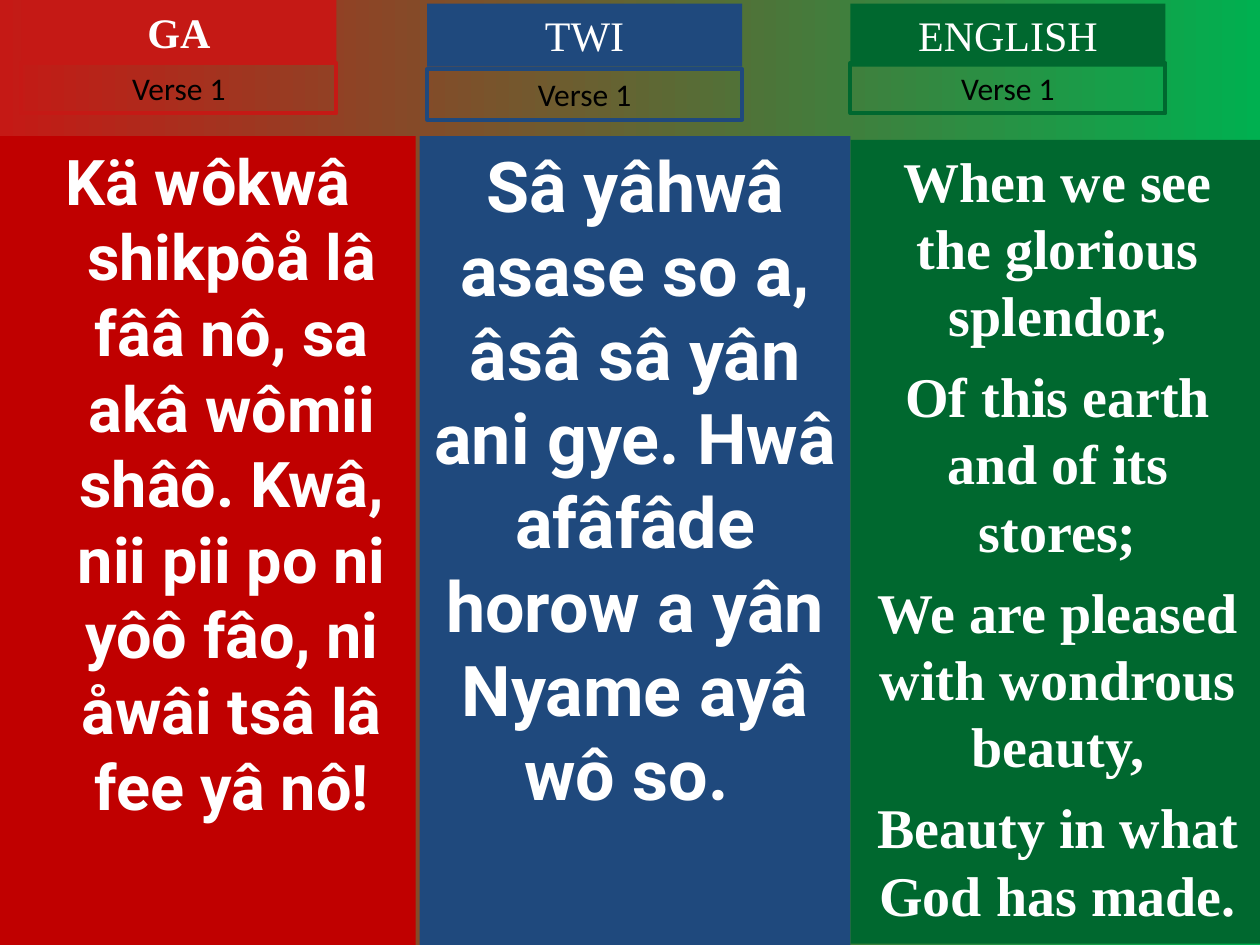
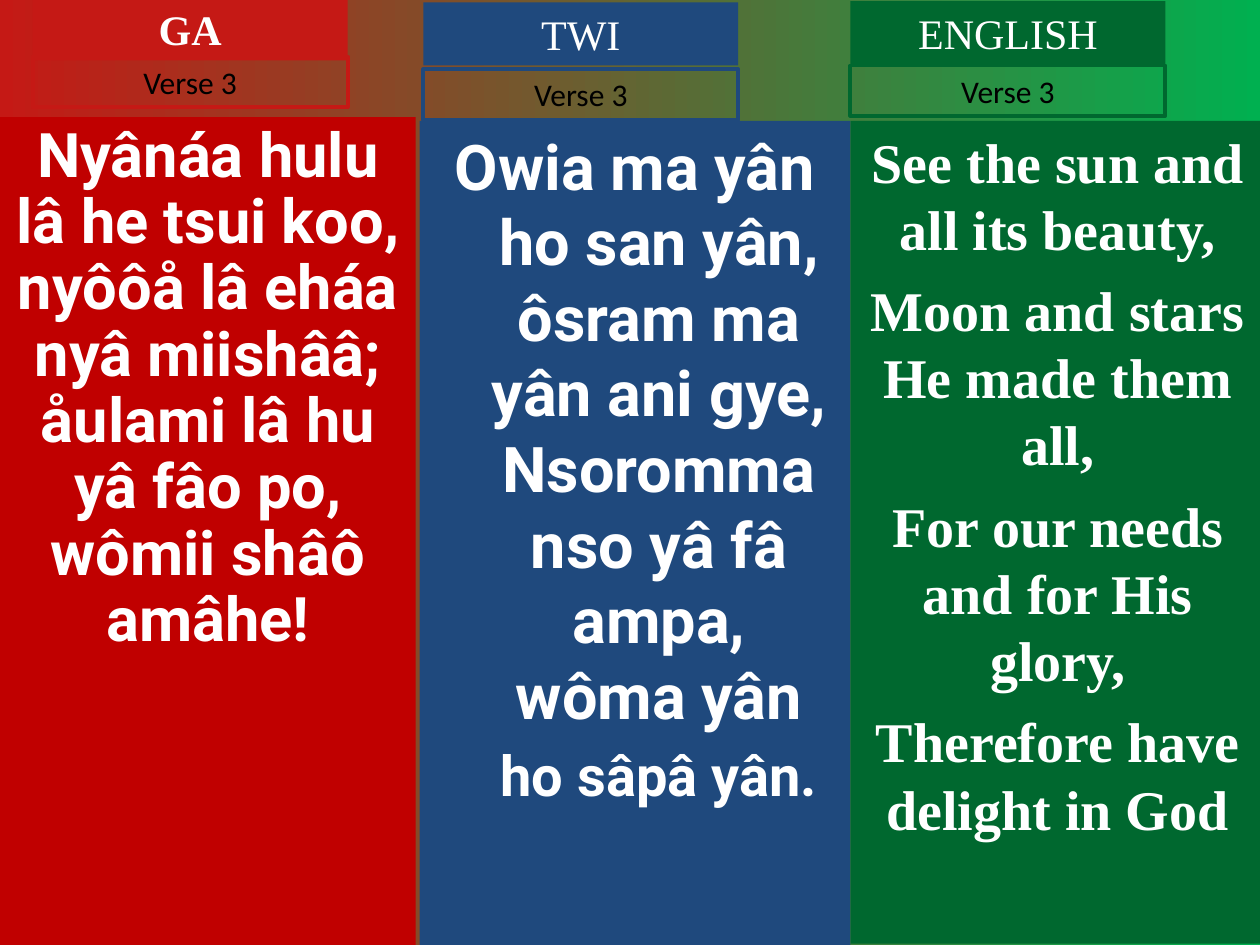
import dataclasses
import pptx
import pptx.util
import pptx.dml.color
import pptx.enum.shapes
import pptx.enum.text

Inches = pptx.util.Inches
Pt = pptx.util.Pt
Align = pptx.enum.text.PP_ALIGN
Anchor = pptx.enum.text.MSO_ANCHOR


@dataclasses.dataclass(frozen=True)
class Theme:
    red: str = "C51915"
    lime: str = "00B050"
    wine: str = "C00000"
    blue: str = "1F497D"
    green: str = "00682F"
    white: str = "FFFFFF"
    black: str = "000000"
    serif: str = "Times New Roman"
    sans: str = "Roboto"
    plain: str = "Calibri"
    head: int = 24
    verse: int = 18
    rule: float = 2.25
    lead: float = 1.2


look = Theme()


@dataclasses.dataclass(frozen=True)
class Tongue:
    name: str
    tint: str
    panel: str
    font: str
    left: float
    width: float
    bold: bool = False


@dataclasses.dataclass(frozen=True)
class Part:
    tongue: Tongue
    tab: tuple
    label: float
    top: float
    height: float
    size: float
    lines: list
    hang: float = 0
    lead: float = look.lead


GA = Tongue("GA", look.red, look.wine, look.sans, 0, 3.3, True)
TWI = Tongue("TWI", look.blue, look.blue, look.sans, 3.33, 3.42)
ENGLISH = Tongue("ENGLISH", look.green, look.green, look.serif, 6.75, 3.29)

VERSES = {
    "Verse 1": [
        Part(GA, (0.17, 0), 0.5, 1.08, 6.42, 36,
             [["Kä wôkwâ shikpôå lâ fââ nô, sa akâ wômii shâô. Kwâ, "
               "nii pii po ni yôô fâo, ni åwâi tsâ lâ fee yâ nô!"]], hang=0.38),
        Part(TWI, (3.39, 0.03), 0.55, 1.08, 6.42, 40,
             [["Sâ yâhwâ asase so a, âsâ sâ yân ani gye. Hwâ afâfâde "
               "horow a yân Nyame ayâ wô so. "]]),
        Part(ENGLISH, (6.75, 0.03), 0.5, 1.11, 6.38, 32,
             [["When we see the glorious splendor,"],
              ["Of this earth and of its stores;"],
              ["We are pleased with wondrous beauty,"],
              ["Beauty in what God has made."]]),
    ],
    "Verse 3": [
        Part(GA, (0.26, -0.02), 0.45, 0.93, 6.57, 35.1,
             [["Nyânáa hulu lâ he tsui koo, nyôôå lâ eháa nyâ miishââ; "
               "åulami lâ hu yâ fâo po, wômii shâô amâhe!"]],
             lead=0.9 * look.lead),
        Part(TWI, (3.36, 0.02), 0.55, 0.96, 6.54, 36,
             [["Owia ma yân ho san yân, ôsram ma yân ani gye, "
               "Nsoromma nso yâ fâ ampa, wôma yân ",
               ("ho sâpâ yân.", 32)]], hang=0.38),
        Part(ENGLISH, (6.75, 0.01), 0.52, 0.96, 6.53, 32,
             [["See the sun and all its beauty,"],
              ["Moon and stars He made them all,"],
              ["For our needs and for His glory,"],
              ["Therefore have delight in God"]]),
    ],
}


def color(code):
    return pptx.dml.color.RGBColor.from_string(code)


def apply(item, form):
    for key, value in form.items():
        setattr(item, key, value)


def block(slide, box, fill=None, line=None):
    shape = slide.shapes.add_shape(
        pptx.enum.shapes.MSO_SHAPE.RECTANGLE, *map(Inches, box))
    shape.shadow.inherit = False
    if fill:
        shape.fill.solid()
        shape.fill.fore_color.rgb = color(fill)
    else:
        shape.fill.background()
    if line:
        shape.line.color.rgb = color(line)
        shape.line.width = Pt(look.rule)
    else:
        shape.line.fill.background()
    apply(shape.text_frame, {
        "word_wrap": True, "vertical_anchor": Anchor.TOP,
        "margin_left": Inches(0.1), "margin_right": Inches(0.1),
        "margin_top": Inches(0.05), "margin_bottom": Inches(0.05)})
    return shape.text_frame


def write(para, text, font, size, tint, bold=False):
    run = para.add_run()
    run.text = text
    apply(run.font, {"name": font, "size": Pt(size), "bold": bold})
    run.font.color.rgb = color(tint)


def title(slide, box, text, font, size, tint, bold=False, **paint):
    frame = block(slide, box, **paint)
    frame.auto_size = pptx.enum.text.MSO_AUTO_SIZE.SHAPE_TO_FIT_TEXT
    para = frame.paragraphs[0]
    para.alignment = Align.CENTER
    write(para, text, font, size, tint, bold)


def lyrics(slide, box, part):
    frame = block(slide, box, fill=part.tongue.panel)
    for index, runs in enumerate(part.lines):
        para = frame.add_paragraph() if index else frame.paragraphs[0]
        apply(para, {"alignment": Align.CENTER,
                     "line_spacing": Pt(part.size * part.lead),
                     "space_before": Pt(8 if index else 0)})
        if part.hang:
            props = para._p.get_or_add_pPr()
            props.set("marL", str(Inches(part.hang)))
            props.set("indent", str(-Inches(part.hang)))
        for run in runs:
            text, size = (run, part.size) if isinstance(run, str) else run
            write(para, text, part.tongue.font, size, look.white, True)


def column(slide, part, verse):
    tongue = part.tongue
    left, top = part.tab
    lyrics(slide, (tongue.left, part.top, tongue.width, part.height), part)
    title(slide, (left, top, 2.5, 0.5), tongue.name, look.serif, look.head,
          look.white, tongue.bold, fill=tongue.tint)
    title(slide, (left, part.label, 2.5, 0.4), verse, look.plain, look.verse,
          look.black, line=tongue.tint)


def page(deck, verse, parts):
    slide = deck.slides.add_slide(deck.slide_layouts[6])
    fill = slide.background.fill
    fill.gradient()
    fill.gradient_angle = 0
    for stop, tint, place in zip(fill.gradient_stops,
                                 (look.red, look.lime), (0, 1)):
        stop.color.rgb = color(tint)
        stop.position = place
    for part in parts:
        column(slide, part, verse)


def main():
    deck = pptx.Presentation()
    apply(deck, {"slide_width": Inches(10), "slide_height": Inches(7.5)})
    for verse, parts in VERSES.items():
        page(deck, verse, parts)
    deck.save("out.pptx")


if __name__ == "__main__":
    main()
